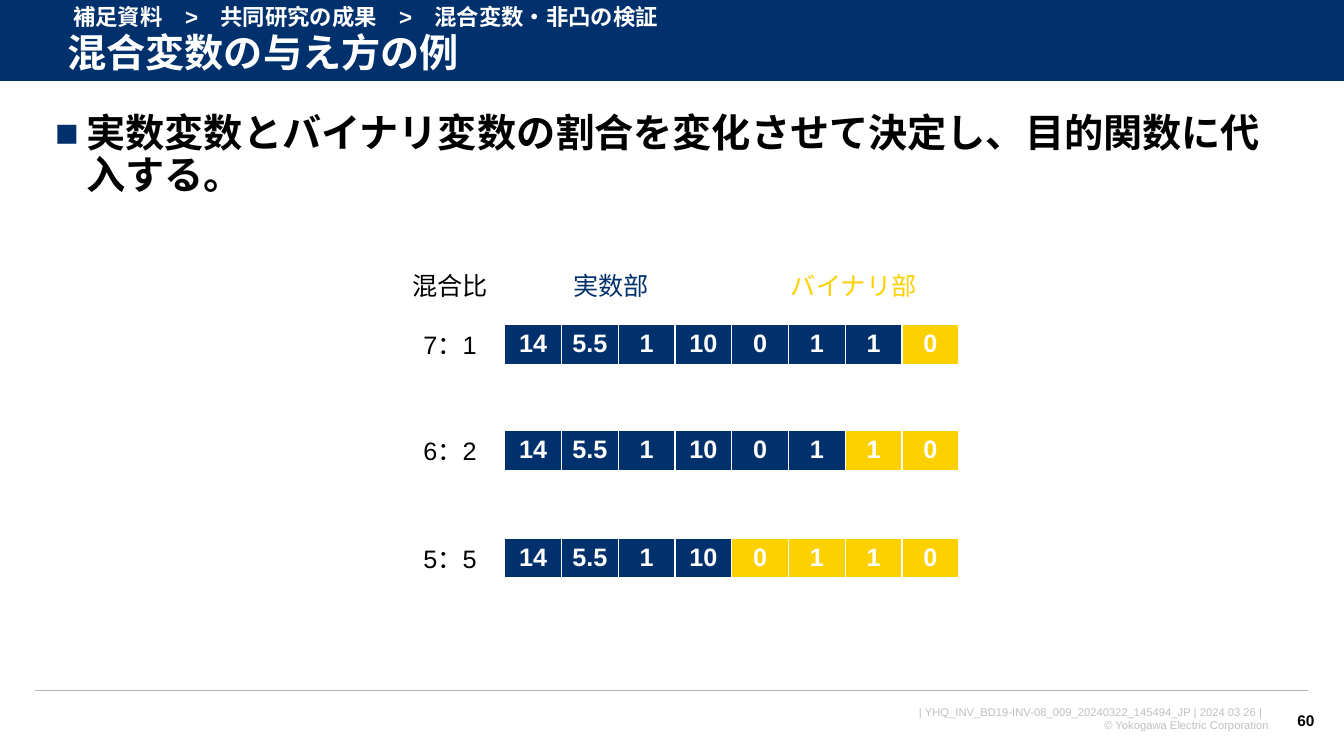
"""Build a slide showing how real and binary variables are mixed."""
import dataclasses

import lxml.etree
import pptx
import pptx.dml.color
import pptx.enum.shapes
import pptx.enum.text
import pptx.oxml.ns
import pptx.util
from pptx.util import Cm


@dataclasses.dataclass(frozen=True)
class Theme:
    font: str = "Arial"
    navy: str = "00316C"
    yellow: str = "FDD000"
    white: str = "FFFFFF"
    black: str = "000000"
    rule: str = "B2B2B2"
    footer: str = "BFBFBF"
    heading_size: int = 28
    path_size: int = 16
    label_size: int = 18
    number_size: int = 11
    footer_size: int = 8


theme = Theme()
align = pptx.enum.text.PP_ALIGN
anchors = pptx.enum.text.MSO_ANCHOR
qn = pptx.oxml.ns.qn
rgb = pptx.dml.color.RGBColor.from_string


def write(frame, text, size=theme.label_size, color=theme.black, bold=False,
          alignment=align.LEFT, anchor=anchors.TOP, wrap=True, spacing=None):
    frame.word_wrap = wrap
    frame.vertical_anchor = anchor
    for index, line in enumerate(text.split("\n")):
        para = frame.add_paragraph() if index else frame.paragraphs[0]
        para.alignment = alignment
        if spacing:
            para.line_spacing = spacing
        span = para.add_run()
        span.text = line
        span.font.name = theme.font
        span.font.size = pptx.util.Pt(size)
        span.font.bold = bold
        span.font.color.rgb = rgb(color)


def add_element(parent, tag, **attributes):
    return lxml.etree.SubElement(parent, qn(tag), attributes)


deck = pptx.Presentation()
deck.slide_width, deck.slide_height = Cm(33.87), Cm(19.05)
page = deck.slides.add_slide(deck.slide_layouts[6])

banner = page.shapes.add_shape(
    pptx.enum.shapes.MSO_SHAPE.RECTANGLE, 0, 0, deck.slide_width, Cm(2.06))
banner.shadow.inherit = False
banner.fill.solid()
banner.fill.fore_color.rgb = rgb(theme.navy)
banner.line.fill.background()

for left, right, top, color, weight in (
        (0, 33.87, 2.06, theme.white, 0.75),
        (0.89, 32.97, 17.4, theme.rule, 1)):
    line = page.shapes.add_connector(
        pptx.enum.shapes.MSO_CONNECTOR.STRAIGHT, Cm(left), Cm(top), Cm(right), Cm(top))
    line.line.color.rgb = rgb(color)
    line.line.width = pptx.util.Pt(weight)
    add_element(line._element.spPr, "a:effectLst")

heading = dict(size=theme.heading_size, bold=True, spacing=0.9)
centred = dict(alignment=align.CENTER)
texts = [
    ((20.47, 17.65, 11.76, 0.94),
     "| YHQ_INV_BD19-INV-08_009_20240322_145494_JP | 2024 03 26 |  \n"
     "© Yokogawa Electric Corporation",
     dict(size=theme.footer_size, color=theme.footer, alignment=align.RIGHT)),
    ((32.26, 17.65, 1.12, 1.02), "60",
     dict(size=theme.number_size, bold=True, alignment=align.RIGHT,
          anchor=anchors.MIDDLE, wrap=False)),
    ((1.45, 0.66, 31.67, 1.45), "混合変数の与え方の例",
     dict(heading, color=theme.white, anchor=anchors.MIDDLE)),
    ((1.6, -0.05, 17, 0.94), "補足資料　>　共同研究の成果　>　混合変数・非凸の検証",
     dict(size=theme.path_size, color=theme.white, bold=True)),
    ((9.78, 6.68, 3.12, 1.02), "混合比", centred),
    ((13.72, 6.68, 3.35, 1.02), "実数部", dict(centred, color=theme.navy)),
    ((19.46, 6.68, 4.11, 1.02), "バイナリ部", dict(centred, color=theme.yellow)),
]
for place, text, style in texts:
    box = page.shapes.add_textbox(*map(Cm, place))
    write(box.text_frame, text, **style)

statement = page.shapes.add_textbox(Cm(1.14), Cm(2.74), Cm(31.12), Cm(2.36))
properties = statement.text_frame.paragraphs[0]._p.get_or_add_pPr()
properties.set("marL", str(Cm(0.79)))
properties.set("indent", str(Cm(-0.79)))
bullet_color = add_element(properties, "a:buClr")
add_element(bullet_color, "a:srgbClr", val=theme.navy)
add_element(properties, "a:buFont", typeface=theme.font)
add_element(properties, "a:buChar", char="■")
write(statement.text_frame,
      "実数変数とバイナリ変数の割合を変化させて決定し、目的関数に代入する。", **heading)

values = ["14", "5.5", "1", "10", "0", "1", "1", "0"]
borders = {"a:lnL": 1, "a:lnR": 1, "a:lnT": 1, "a:lnB": 3}
for ratio, real_count, top in (("7：1", 7, 8.18), ("6：2", 6, 10.85), ("5：5", 4, 13.56)):
    label = page.shapes.add_textbox(Cm(9.78), Cm(top), Cm(3.12), Cm(1.02))
    write(label.text_frame, ratio, alignment=align.CENTER)
    table = page.shapes.add_table(
        1, len(values), Cm(12.72), Cm(top), Cm(1.43 * len(values)), Cm(1.03)).table
    for index, value in enumerate(values):
        table.columns[index].width = Cm(1.43)
        cell = table.cell(0, index)
        write(cell.text_frame, value, color=theme.white, bold=True, alignment=align.CENTER)
        cell_properties = cell._tc.get_or_add_tcPr()
        for side, weight in borders.items():
            border = add_element(cell_properties, side, w=str(pptx.util.Pt(weight)))
            fill = add_element(border, "a:solidFill")
            add_element(fill, "a:srgbClr", val=theme.white)
        cell.fill.solid()
        cell.fill.fore_color.rgb = rgb(theme.navy if index < real_count else theme.yellow)

deck.save("out.pptx")
